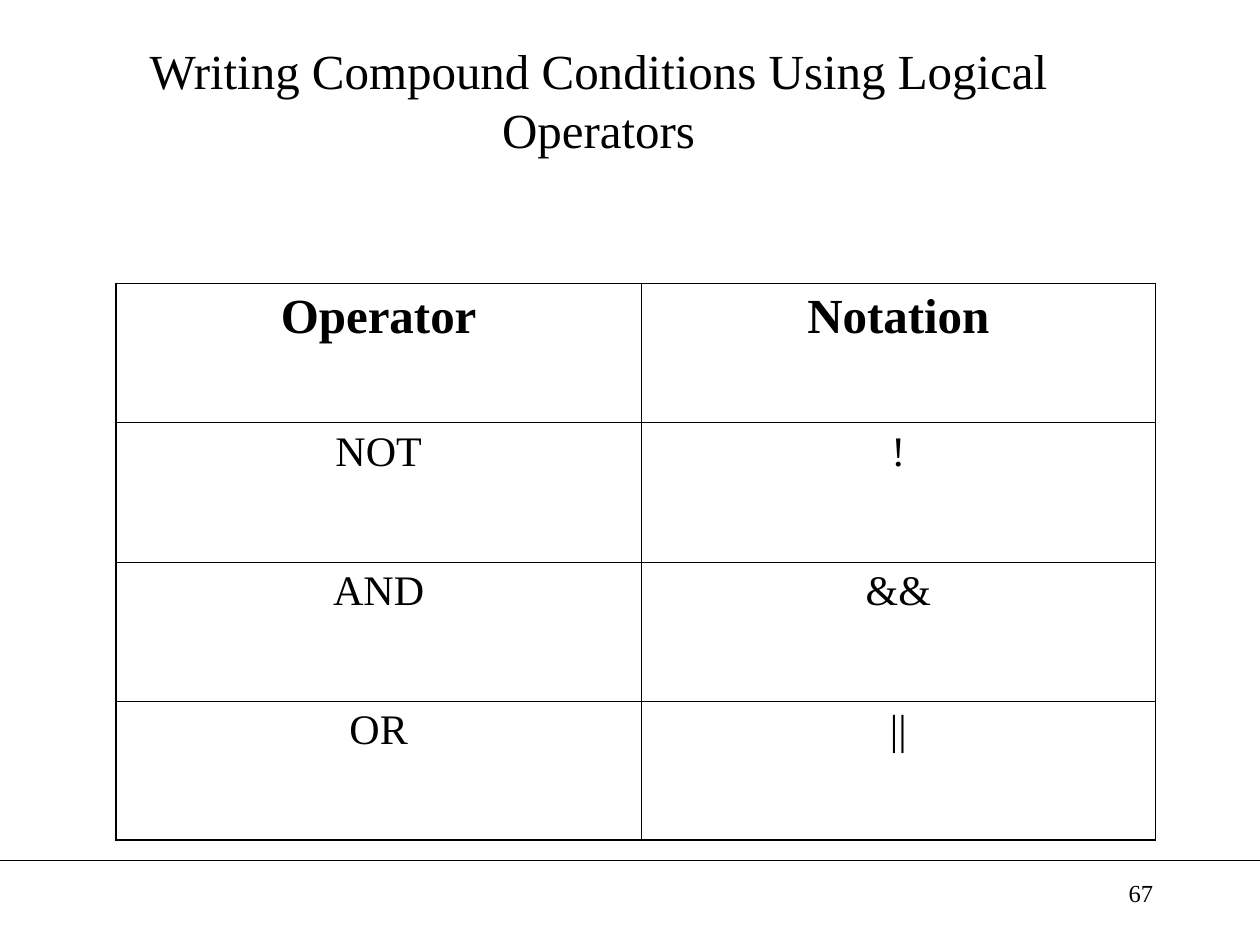
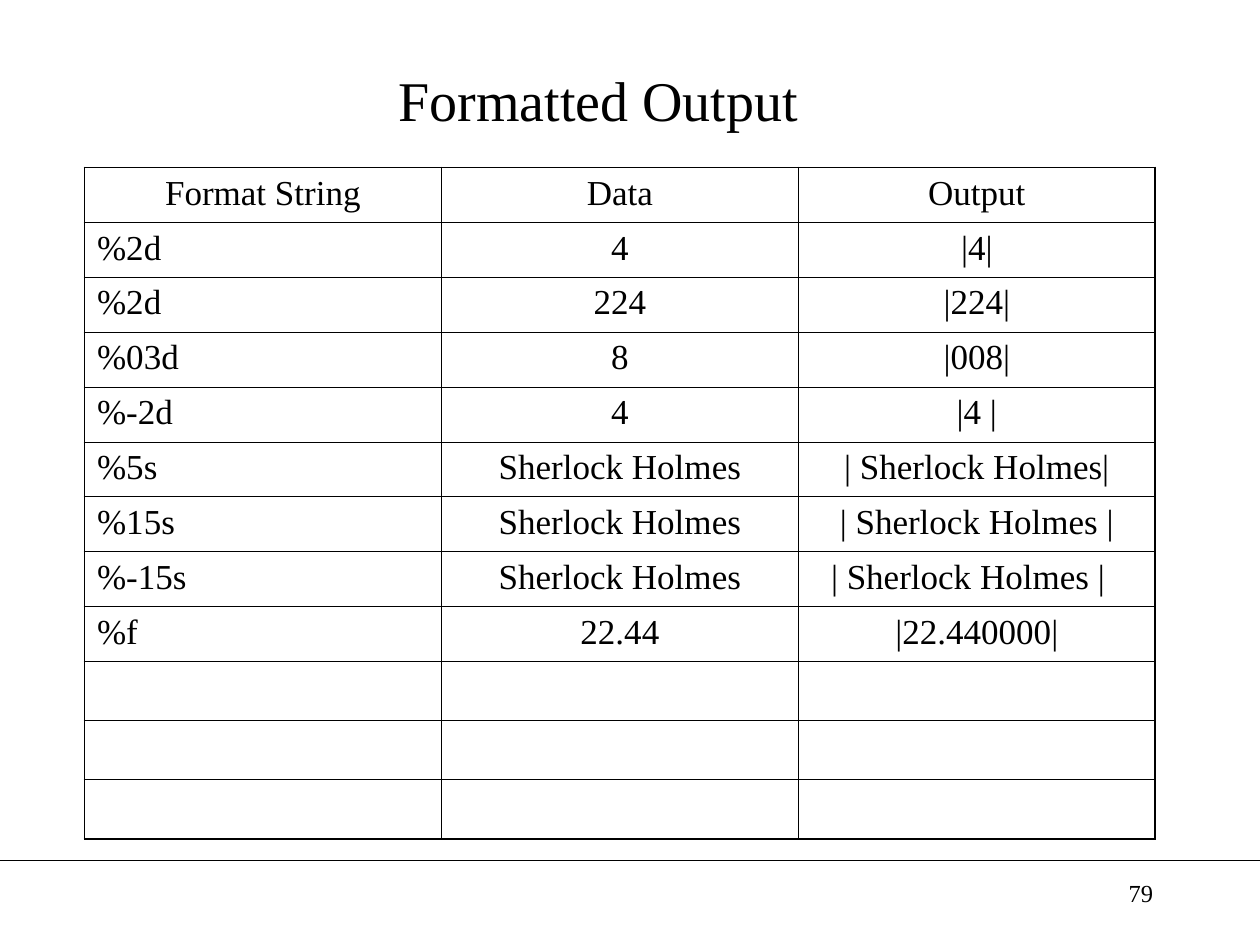
from lxml.etree import SubElement
from pptx import Presentation
from pptx.dml.color import RGBColor
from pptx.enum.shapes import MSO_CONNECTOR
from pptx.enum.text import MSO_ANCHOR, MSO_AUTO_SIZE, PP_ALIGN
from pptx.oxml.ns import qn
from pptx.util import Inches, Pt

INK = "000000"
TYPEFACE = "Times New Roman"
OUTER_BORDER = Pt(1.08)
INNER_BORDER = Pt(0.45)
MARGINS = {
    "margin_left": Inches(0.1),
    "margin_right": Inches(0.1),
    "margin_top": Inches(0.05),
    "margin_bottom": Inches(0.05),
}
TITLE_FRAME = {
    **MARGINS,
    "word_wrap": True,
    "vertical_anchor": MSO_ANCHOR.MIDDLE,
    "auto_size": MSO_AUTO_SIZE.NONE,
}
NUMBER_FRAME = {**MARGINS, "word_wrap": True}
CELL_FORMAT = {**MARGINS, "vertical_anchor": MSO_ANCHOR.TOP}

OPERATORS = [
    ("Operator", "Notation"),
    ("NOT", "!"),
    ("AND", "&&"),
    ("OR", "||"),
]
FORMATS = [
    ("Format String", "Data", "Output"),
    ("%2d", "4", "|4|"),
    ("%2d", "224", "|224|"),
    ("%03d", "8", "|008|"),
    ("%-2d", "4", "|4 |"),
    ("%5s", "Sherlock Holmes", "| Sherlock Holmes|"),
    ("%15s", "Sherlock Holmes", "| Sherlock Holmes |"),
    ("%-15s", "Sherlock Holmes", "| Sherlock Holmes |"),
    ("%f", "22.44", "|22.440000|"),
]
BLANK_ROWS = [("", "", "")] * 3
LEFT_PADDED_ROW = 7


def color(hex_value):
    return RGBColor.from_string(hex_value)


def apply(target, values):
    for name, value in values.items():
        setattr(target, name, value)


def write(frame, text, size, alignment, bold=False):
    paragraph = frame.paragraphs[0]
    paragraph.text = text
    paragraph.alignment = alignment
    apply(paragraph.font, {"name": TYPEFACE, "size": Pt(size), "bold": bold})
    paragraph.font.color.rgb = color(INK)


def place(shape, left, top, width, height):
    apply(shape, {
        "left": Inches(left),
        "top": Inches(top),
        "width": Inches(width),
        "height": Inches(height),
    })


def add_title(slide, text, size):
    title = slide.shapes.title
    place(title, 0.5, 0.25, 8.5, 1.08)
    apply(title.text_frame, TITLE_FRAME)
    write(title.text_frame, text, size, PP_ALIGN.CENTER)


def add_footer(slide, number):
    rule = slide.shapes.add_connector(
        MSO_CONNECTOR.STRAIGHT, 0, Inches(6.83), Inches(10), Inches(6.83))
    rule.line.color.rgb = color(INK)
    rule.line.width = Pt(0.75)
    SubElement(rule._element.spPr, qn("a:effectLst"))

    page = slide.shapes.add_textbox(
        Inches(7.17), Inches(6.92), Inches(2.08), Inches(0.5))
    apply(page.text_frame, NUMBER_FRAME)
    write(page.text_frame, str(number), 14, PP_ALIGN.RIGHT)


def add_slide(deck, title, title_size, number):
    slide = deck.slides.add_slide(deck.slide_layouts[5])
    add_title(slide, title, title_size)
    add_footer(slide, number)
    return slide


def set_borders(cell, outer_edges):
    properties = cell._tc.get_or_add_tcPr()
    for edge, is_outer in outer_edges.items():
        width = OUTER_BORDER if is_outer else INNER_BORDER
        border = SubElement(properties, qn(f"a:ln{edge}"), w=str(int(width)))
        fill = SubElement(border, qn("a:solidFill"))
        SubElement(fill, qn("a:srgbClr"), val=INK)


def add_grid(slide, rows, left, top, widths, heights, sizes,
             bold_header=False, first_column=PP_ALIGN.CENTER):
    header_size, body_size = sizes
    last_row, last_column = len(rows) - 1, len(widths) - 1
    grid = slide.shapes.add_table(
        len(rows), len(widths), Inches(left), Inches(top),
        Inches(sum(widths)), Inches(sum(heights))).table
    apply(grid, {"first_row": False, "horz_banding": False})
    for column, width in zip(grid.columns, widths):
        column.width = Inches(width)
    for row, height in zip(grid.rows, heights):
        row.height = Inches(height)
    for r, texts in enumerate(rows):
        is_header = r == 0
        for c, text in enumerate(texts):
            cell = grid.cell(r, c)
            apply(cell, CELL_FORMAT)
            set_borders(cell, {"L": c == 0, "R": c == last_column,
                               "T": is_header, "B": r == last_row})
            cell.fill.background()
            alignment = PP_ALIGN.CENTER if is_header or c else first_column
            write(cell.text_frame, text,
                  header_size if is_header else body_size,
                  alignment, is_header and bold_header)
    return grid


def add_operators(deck):
    slide = add_slide(
        deck, "Writing Compound Conditions Using Logical Operators", 28, 67)
    heights = [4.42 / len(OPERATORS)] * len(OPERATORS)
    add_grid(slide, OPERATORS, 0.92, 2.25, [4.17, 4.08], heights, (28, 24),
             bold_header=True)


def add_formats(deck):
    slide = add_slide(deck, "Formatted Output", 32, 79)
    heights = [3.92 / len(FORMATS)] * len(FORMATS) + [0.47] * len(BLANK_ROWS)
    grid = add_grid(slide, FORMATS + BLANK_ROWS, 0.67, 1.33, [8.5 / 3] * 3,
                    heights, (20, 20), first_column=PP_ALIGN.LEFT)
    grid.cell(LEFT_PADDED_ROW, 2).margin_right = Inches(0.24)


def main():
    deck = Presentation()
    apply(deck, {"slide_width": Inches(10), "slide_height": Inches(7.5)})
    add_operators(deck)
    add_formats(deck)
    deck.save("out.pptx")


if __name__ == "__main__":
    main()
